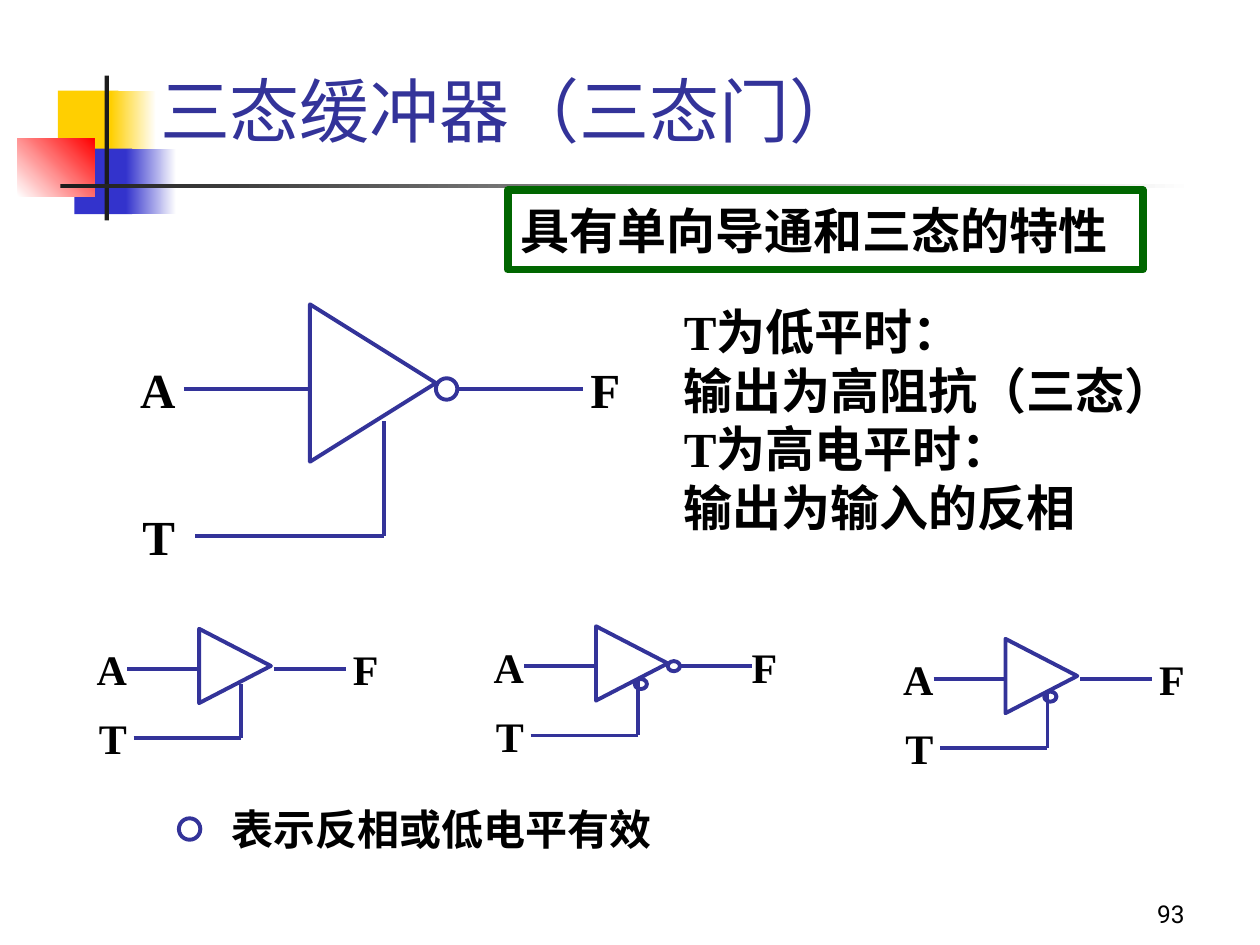
from lxml import etree
from pptx import Presentation
from pptx.dml.color import RGBColor
from pptx.enum.shapes import MSO_CONNECTOR, MSO_SHAPE
from pptx.enum.text import MSO_ANCHOR, PP_ALIGN
from pptx.oxml.ns import qn
from pptx.util import Inches, Pt

RECTANGLE = MSO_SHAPE.RECTANGLE
TRIANGLE = MSO_SHAPE.FLOWCHART_EXTRACT
CIRCLE = MSO_SHAPE.FLOWCHART_CONNECTOR
STRAIGHT = MSO_CONNECTOR.STRAIGHT
LEFT, CENTER, RIGHT = PP_ALIGN.LEFT, PP_ALIGN.CENTER, PP_ALIGN.RIGHT
MIDDLE, BOTTOM = MSO_ANCHOR.MIDDLE, MSO_ANCHOR.BOTTOM

INDIGO, BLACK, WHITE = "333399", "000000", "FFFFFF"
YELLOW, BLUE, RED, DARK, GREEN = "FFCF01", "3333CC", "FF0000", "1C1C1C", "006600"
SERIF, SANS = "Times New Roman", "Roboto"

# The slide is a grid of 100 columns by 75 rows with square cells.
COLUMNS, ROWS = 100, 75
CELL = Inches(0.1)


def cells(*counts):
    return [round(count * CELL) for count in counts]


def color(value):
    return RGBColor.from_string(value)


def write(shape, lines, size, align=LEFT, anchor=MIDDLE, wrap=True,
          font=SERIF, ink=BLACK, bold=True):
    frame = shape.text_frame
    frame.word_wrap = wrap
    frame.vertical_anchor = anchor
    frame.text = "\n".join(lines)
    style = {"size": Pt(size), "name": font, "bold": bold}
    for para in frame.paragraphs:
        para.alignment = align
        for span in para.runs:
            for name, value in style.items():
                setattr(span.font, name, value)
            span.font.color.rgb = color(ink)


def add_text(page, box, lines, size, **options):
    shape = page.shapes.add_textbox(*cells(*box))
    write(shape, lines, size, **options)


def add_shape(page, kind, box, fill=None, line=None, width=2.25):
    shape = page.shapes.add_shape(kind, *cells(*box))
    shape.shadow.inherit = False
    if fill is None:
        shape.fill.background()
    elif isinstance(fill, tuple):
        start, end, angle = fill
        shape.fill.gradient()
        shape.fill.gradient_angle = angle
        for stop, value, position in zip(shape.fill.gradient_stops, (start, end), (0, 1)):
            stop.color.rgb = color(value)
            stop.position = position
    else:
        shape.fill.solid()
        shape.fill.fore_color.rgb = color(fill)
    if line:
        shape.line.color.rgb = color(line)
        shape.line.width = Pt(width)
    else:
        shape.line.fill.background()
    return shape


def add_wire(page, start, end):
    wire = page.shapes.add_connector(STRAIGHT, *cells(*start, *end))
    wire.line.color.rgb = color(INDIGO)
    wire.line.width = Pt(2.25)
    etree.SubElement(wire.element.spPr, qn("a:effectLst"))


def add_ornament(page, box):
    """Coloured blocks and the two rules crossing beside the title."""
    left, top, width, height = box
    parts = [
        (3.2, 1.2, 4.8, 5.2, YELLOW),
        (7.4, 1.2, 3.6, 5.2, (YELLOW, WHITE, 0)),
        (4.5, 5.8, 4.6, 5.2, BLUE),
        (8.6, 5.8, 4, 5.2, (BLUE, WHITE, 0)),
        (0, 5, 6.1, 4.6, (WHITE, RED, 45)),
        (6.9, 0, 0.35, height, DARK),
        (3.4, 8.6, width - 3.4, 0.35, (DARK, WHITE, 0)),
    ]
    for across, down, wide, high, fill in parts:
        add_shape(page, RECTANGLE, (left + across, top + down, wide, high), fill)


def add_title(page, box, text):
    title = page.shapes.title
    title.left, title.top, title.width, title.height = cells(*box)
    write(title, [text], 40, anchor=BOTTOM, font=SANS, ink=INDIGO, bold=False)


def add_gate(page, box, size, inverted=False, active_low=False):
    """Three-state gate; the box width and height are those of its triangle,
    and its left edge is where the input wire starts."""
    left, top, width, height = box

    def at(across, down):
        return left + across * width, top + down * height

    def bubble(across, down):
        add_shape(page, CIRCLE, (*at(across, down), 0.17 * width, 0.136 * height),
                  line=INDIGO)

    # Triangle, turned to point right about its centre
    middle_x, middle_y = at(1.5, 0.5)
    triangle = add_shape(page, TRIANGLE, (middle_x - height / 2, middle_y - width / 2,
                                          height, width), line=INDIGO)
    triangle.rotation = 90

    # Inversion circles
    if inverted:
        bubble(2, 0.47)
    if active_low:
        bubble(1.54, 0.71)

    # Wires: input, control, control riser, output
    signal, control = 0.54, 1.47
    output = 2.17 if inverted else 2.04
    for start, end in [((0, signal), (1, signal)),
                       ((0.09, control), (1.585, control)),
                       ((1.585, control), (1.585, 0.74)),
                       ((output, signal), (output + 1, signal))]:
        add_wire(page, at(*start), at(*end))

    # Terminal names
    gap = 0.175 if inverted else 0.28
    label_width, label_height = 4.6, size * 0.205
    for name, across, down in [("T", -0.2, control), ("A", -0.215, signal),
                               ("F", output + 1 + gap, signal)]:
        x, y = at(across, down)
        add_text(page, (x - label_width / 2, y - label_height / 2, label_width, label_height),
                 [name], size, align=CENTER, wrap=False)


def add_legend(page, box, text):
    left, top, width, height = box
    circle = 1.7
    add_shape(page, CIRCLE, (left, top + (height - circle) / 2, circle, circle), line=INDIGO)
    add_text(page, (left + 3.2, top, width - 3.2, height), [text], 24,
             align=CENTER, wrap=False)


def main():
    deck = Presentation()
    deck.slide_width, deck.slide_height = cells(COLUMNS, ROWS)
    page = deck.slides.add_slide(deck.slide_layouts[5])

    # Heading
    add_ornament(page, (1.4, 6, 93.4, 11.5))
    add_title(page, (11.7, 3.3, 85.2, 9.2), "三态缓冲器（三态门）")
    banner = add_shape(page, RECTANGLE, (40.3, 15.1, 50.4, 6.3), WHITE, GREEN, 4.5)
    write(banner, ["具有单向导通和三态的特性"], 28)

    # Main gate and its behaviour
    add_gate(page, (14.6, 24.15, 10, 12.5), 28, inverted=True)
    add_text(page, (53.3, 23.4, 41.5, 19.7),
             ["T为低平时：", "输出为高阻抗（三态）", "T为高电平时：", "输出为输入的反相"], 28)

    # Variants
    for left, top, inverted, active_low in [(10.1, 49.9, False, False),
                                            (41.6, 49.7, True, True),
                                            (74.1, 50.7, False, True)]:
        add_gate(page, (left, top, 5.7, 5.9), 24, inverted, active_low)

    # Legend and page number
    add_legend(page, (14.2, 63.3, 38.5, 5), "表示反相或低电平有效")
    add_text(page, (74.2, 69.2, 20.8, 5), ["93"], 14, align=RIGHT, anchor=BOTTOM,
             font=SANS, bold=False)

    deck.save("out.pptx")


if __name__ == "__main__":
    main()
